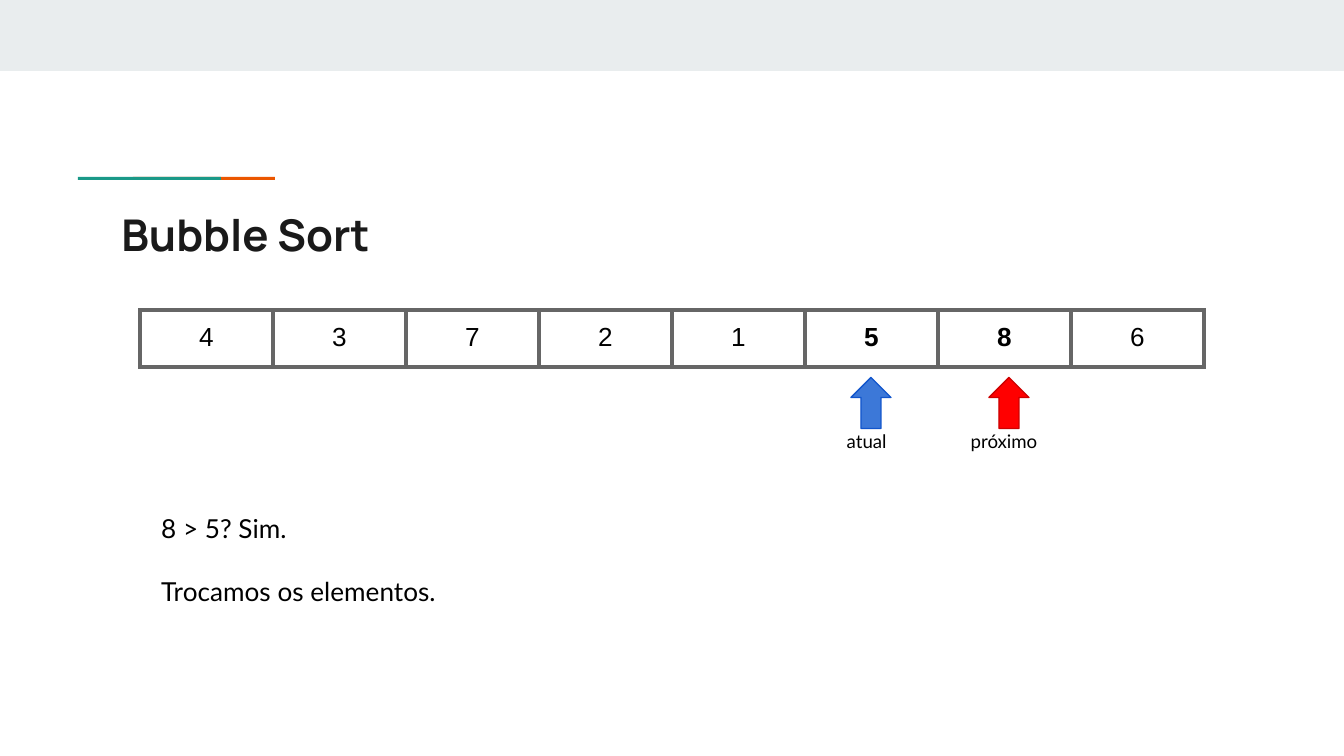
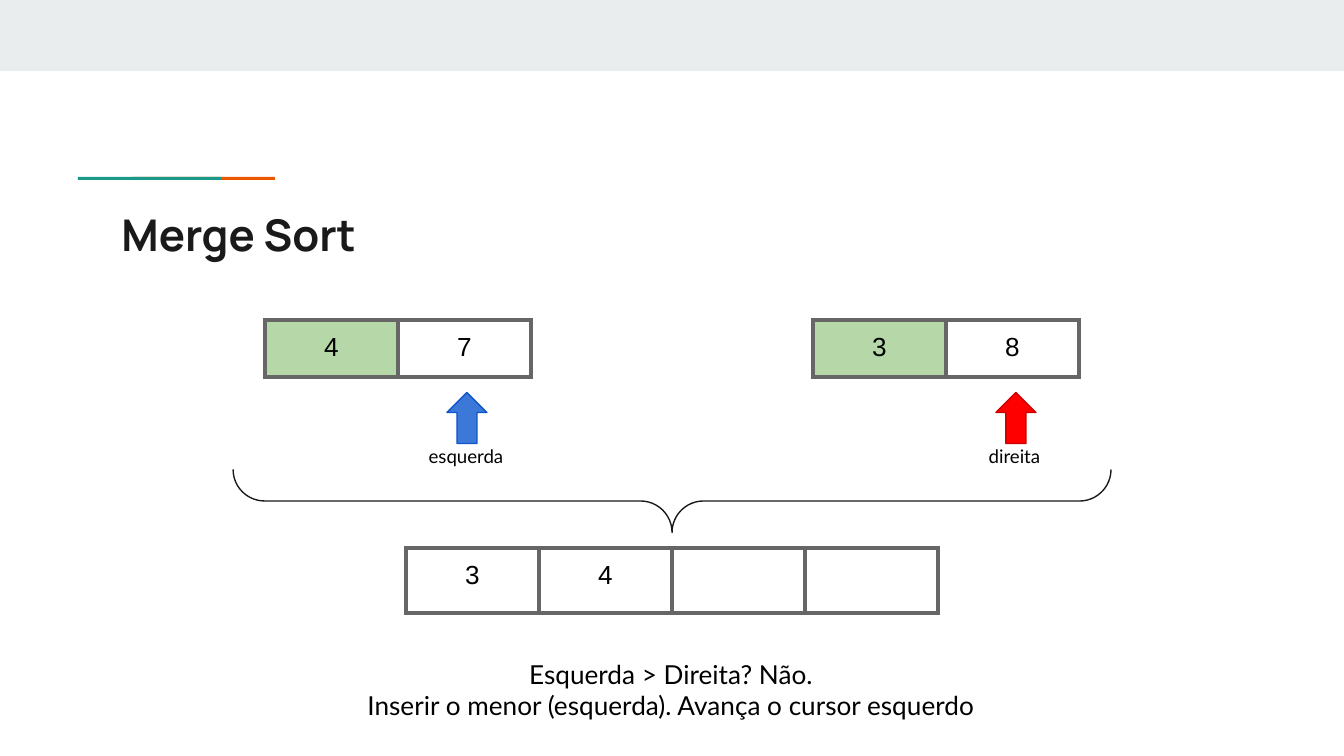
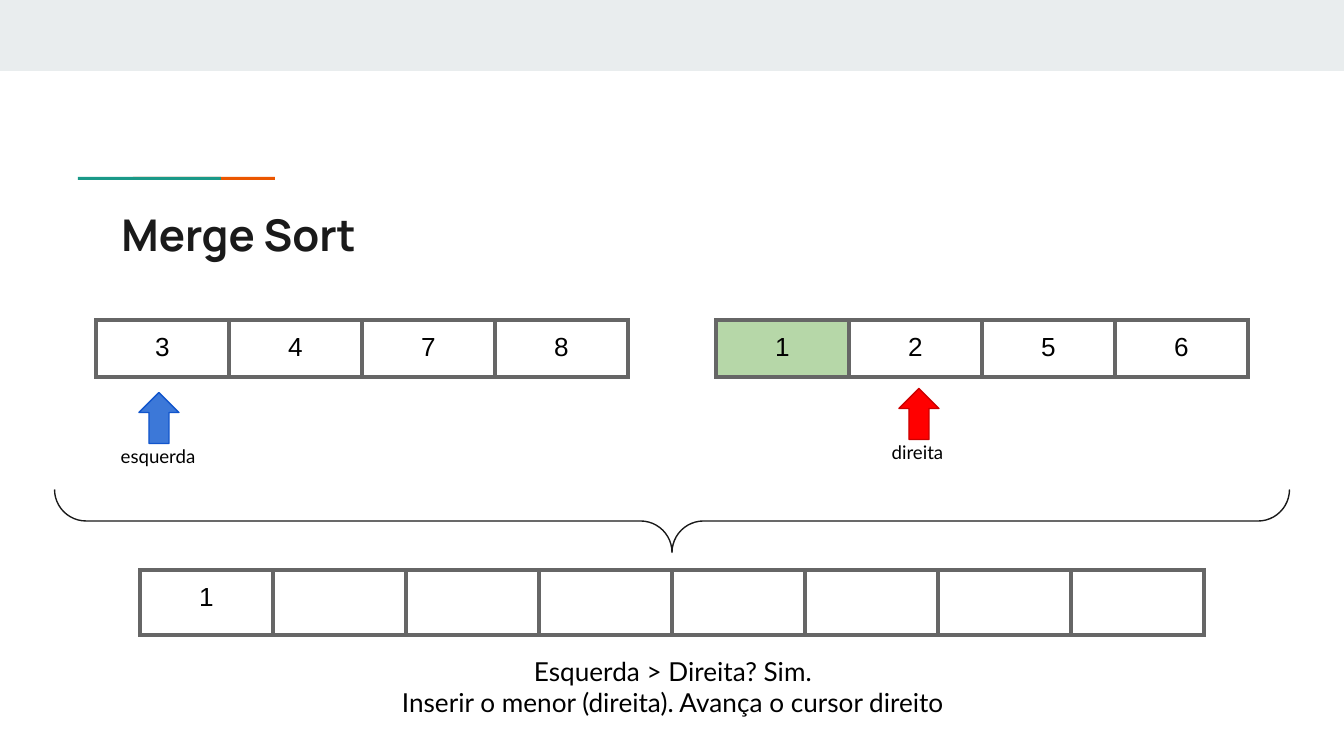
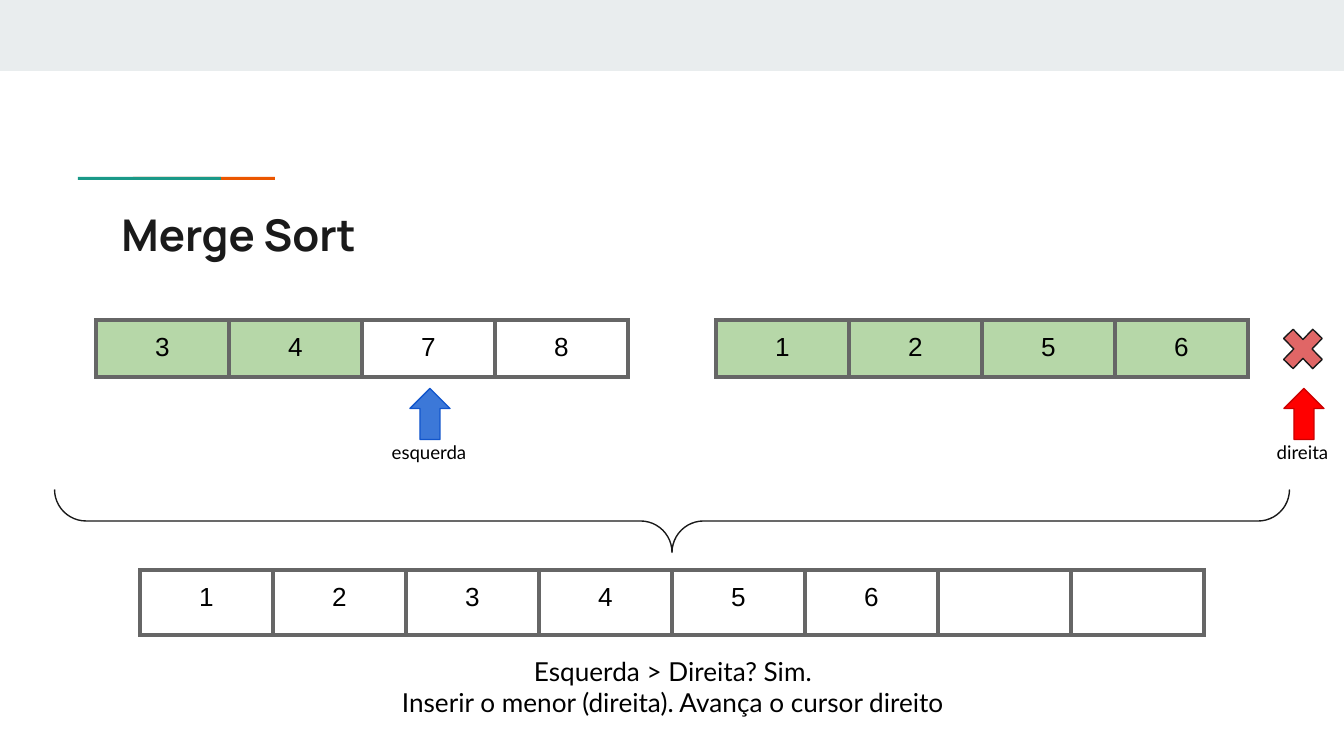
from pptx import Presentation
from pptx import util as u
from pptx.dml.color import RGBColor
from pptx.enum import shapes, text
from pptx.oxml import parse_xml
from pptx.oxml.ns import nsdecls

PX = 914400 / 134.4
HEX = {"band": "E9EDEE", "teal": "1A9988", "orange": "EB5600", "ink": "1A1A1A",
       "black": "000000", "white": "FFFFFF", "grid": "666666", "done": "B6D7A8",
       "blue": "3C78D8", "navy": "1155CC", "red": "FF0000", "wine": "CC0000",
       "rose": "E06666"}
KIND = shapes.MSO_SHAPE
CELL = 133  # column width
PAD = 13    # text inset


def draw(slide, kind, box, fill=None, line=None):
    """Add a preset shape; box is left, top, width, height in px."""
    item = slide.shapes.add_shape(kind, *[round(n * PX) for n in box])
    item.shadow.inherit = False
    if fill:
        item.fill.solid()
        item.fill.fore_color.rgb = RGBColor.from_string(HEX[fill])
    else:
        item.fill.background()
    if line:
        item.line.color.rgb = RGBColor.from_string(HEX[line])
        item.line.width = u.Pt(0.75)
    else:
        item.line.fill.background()
    return item


def write(frame, words, size, font, color="black", align="LEFT", bold=False):
    """Fill a frame or cell with text and format every run."""
    frame.text = words
    frame.word_wrap = True
    for para in frame.paragraphs:
        para.alignment = getattr(text.PP_ALIGN, align)
        for run in para.runs:
            run.font.size, run.font.name, run.font.bold = u.Pt(size), font, bold
            run.font.color.rgb = RGBColor.from_string(HEX[color])


# Rows: left, top, height, values, count of green cells, bold columns
# Marks: centre x, centre y, label, label width, fill, line
# Brace: width, centre y
# Note: box, alignment, space between paragraphs, words
BLUE, RED = ("blue", "navy"), ("red", "wine")
RIGHT = ((343, 642, 660, 90), "CENTER", 0,
         "Esquerda > Direita? Sim.\nInserir o menor (direita). Avança o cursor direito")
pages = [
    {"title": "Bubble Sort",
     "rows": [(140, 310, 57, "43721586", 0, (5, 6))],
     "marks": [(871, 403, "atual", 75, BLUE), (1009, 403, "próximo", 103, RED)],
     "note": ((148, 499, 1050, 122), "LEFT", 16.8,
              "8 > 5? Sim.\nTrocamos os elementos.")},
    {"title": "Merge Sort",
     "rows": [(406, 548, 65, "34  ", 0, ()), (265, 320, 57, "47", 1, ()),
              (813, 320, 57, "38", 1, ())],
     "marks": [(467, 418, "esquerda", 103, BLUE), (1016, 418, "direita", 81, RED)],
     "brace": (878, 501),
     "note": ((348, 645, 646, 90), "CENTER", 0,
              "Esquerda > Direita? Não.\n"
              "Inserir o menor (esquerda). Avança o cursor esquerdo")},
    {"title": "Merge Sort",
     "rows": [(140, 570, 65, "1       ", 0, ()), (96, 320, 57, "3478", 0, ()),
              (716, 320, 57, "1256", 1, ())],
     "marks": [(159, 418, "esquerda", 103, BLUE), (919, 414, "direita", 81, RED)],
     "brace": (1235, 521), "note": RIGHT},
    {"title": "Merge Sort",
     "rows": [(140, 570, 65, "123456  ", 0, ()), (96, 320, 57, "3478", 2, ()),
              (716, 320, 57, "1256", 4, ())],
     "marks": [(430, 414, "esquerda", 103, BLUE), (1304, 414, "direita", 81, RED)],
     "brace": (1235, 521), "note": RIGHT, "cross": (1275, 320, 56, 58)},
]

deck = Presentation()
deck.slide_width, deck.slide_height = u.Inches(10), u.Inches(5.625)
base = deck.slide_layouts[5]

for page in pages:
    slide = deck.slides.add_slide(base)

    # Band and accent line, moved to the layout once
    if page is pages[0]:
        for spot, (box, fill) in enumerate([((0, 0, 1344, 71), "band"),
                                            ((133, 177, 142, 3), "orange"),
                                            ((78, 177, 143, 3), "teal")]):
            part = draw(slide, KIND.RECTANGLE, box, fill)
            base.shapes.element.insert(2 + spot, part.element)

    # Title
    title = slide.shapes.title
    title.left, title.top, title.width, title.height = [
        round(n * PX) for n in (108, 194, 1130, 79)]
    frame = title.text_frame
    write(frame, page["title"], 23.4, "Manrope", "ink", bold=True)
    frame.auto_size = text.MSO_AUTO_SIZE.NONE
    frame.vertical_anchor = text.MSO_ANCHOR.TOP
    frame.margin_left = frame.margin_right = u.Inches(0.1)
    frame.margin_top = frame.margin_bottom = u.Inches(0.1)

    # Number rows
    for left, top, high, values, done, bold in page["rows"]:
        box = (left, top, CELL * len(values), high)
        table = slide.shapes.add_table(
            1, len(values), *[round(n * PX) for n in box]).table
        table.first_row = table.horz_banding = False
        for col, value in enumerate(values):
            table.columns[col].width = round(CELL * PX)
            cell = table.cell(0, col)
            value = value.strip()
            if value:
                write(cell.text_frame, value, 14, "Arial", align="CENTER", bold=col in bold)
            pad = round(PAD * PX) if value else 0
            cell.margin_left = cell.margin_right = pad
            cell.margin_top = cell.margin_bottom = pad
            cell.fill.solid()
            cell.fill.fore_color.rgb = RGBColor.from_string(
                HEX["done" if col < done else "white"])
            edges = cell._tc.get_or_add_tcPr()
            for spot, side in enumerate("LRTB"):
                edges.insert(spot, parse_xml(
                    f'<a:ln{side} {nsdecls("a")} w="{u.Pt(2.25)}"><a:solidFill>'
                    f'<a:srgbClr val="{HEX["grid"]}"/></a:solidFill></a:ln{side}>'))

    # Cursors: arrow and label
    for mid, y, name, wide, (fill, line) in page["marks"]:
        arrow = draw(slide, KIND.RIGHT_ARROW, (mid - 25.5, y - 20, 51, 40), fill, line)
        arrow.rotation = 270
        label = slide.shapes.add_textbox(
            *[round(n * PX) for n in (mid - wide / 2, y + 16, wide, 50)])
        frame = label.text_frame
        write(frame, name, 10, "Lato")
        frame.margin_left = frame.margin_right = u.Inches(0.1)
        frame.margin_top = frame.margin_bottom = u.Inches(0.1)
        slide.shapes.add_group_shape([arrow, label])

    # Brace
    if "brace" in page:
        wide, y = page["brace"]
        brace = draw(slide, KIND.RIGHT_BRACE,
                     (672 - 31.5, y - wide / 2, 63, wide), line="ink")
        brace.rotation = 90
        brace.adjustments[0] = brace.adjustments[1] = 0.5

    # Explanation
    box, align, gap, words = page["note"]
    frame = slide.shapes.add_textbox(*[round(n * PX) for n in box]).text_frame
    write(frame, words, 14, "Lato", align=align)
    frame.margin_left = frame.margin_right = u.Inches(0.1)
    frame.margin_top = frame.margin_bottom = u.Inches(0.1)
    frame.paragraphs[1].space_before = u.Pt(gap)

    # End of the list
    if "cross" in page:
        cross = draw(slide, KIND.MATH_MULTIPLY, page["cross"], "rose", "ink")
        cross.adjustments[0] = 0.235

deck.save("out.pptx")
